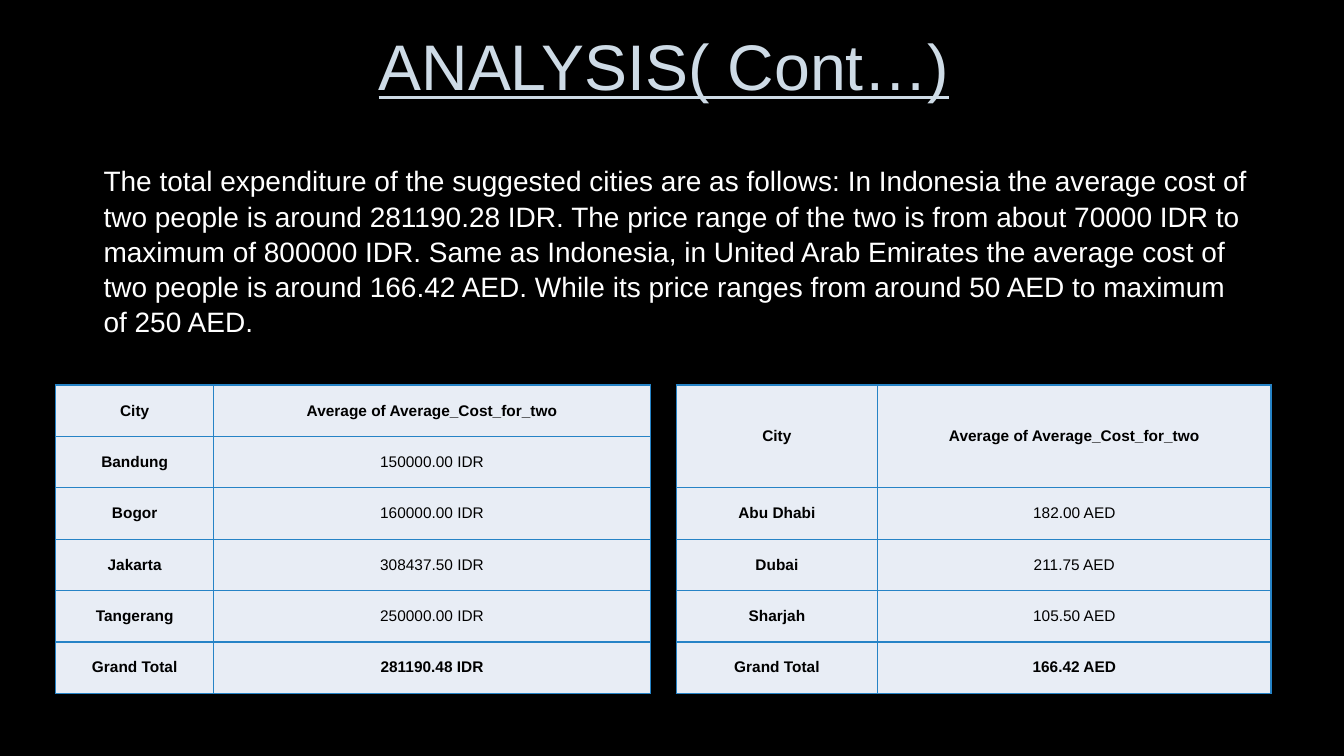
from dataclasses import dataclass

from lxml.etree import SubElement
from pptx import Presentation
from pptx.dml.color import RGBColor
from pptx.enum.text import MSO_ANCHOR as Anchor, MSO_AUTO_SIZE as AutoSize, PP_ALIGN as Align
from pptx.oxml.ns import qn
from pptx.util import Cm, Pt

FONT = "Arial"
COLORS = {
    "background": "000000",
    "title": "CEDBE6",
    "title_outline": "404040",
    "body": "FFFFFF",
    "cell_text": "000000",
    "cell_fill": "E8EDF5",
    "border": "2683C6",
}
TABLE_TOP, TABLE_HEIGHT, GRID_ROWS = 9.7, 7.77, 6
ROW_HEIGHT = TABLE_HEIGHT / GRID_ROWS


@dataclass
class CostTable:
    left: float
    column_widths: tuple[float, float]
    header_units: int
    rows: list[tuple[str, str]]


HEADER = ("City", "Average of Average_Cost_for_two")
COST_TABLES = [
    CostTable(1.4, (3.99, 11), 1, [
        HEADER,
        ("Bandung", "150000.00 IDR"),
        ("Bogor", "160000.00 IDR"),
        ("Jakarta", "308437.50 IDR"),
        ("Tangerang", "250000.00 IDR"),
        ("Grand Total", "281190.48 IDR"),
    ]),
    CostTable(17.04, (5.08, 9.91), 2, [
        HEADER,
        ("Abu Dhabi", "182.00 AED"),
        ("Dubai", "211.75 AED"),
        ("Sharjah", "105.50 AED"),
        ("Grand Total", "166.42 AED"),
    ]),
]
BODY = (
    "The total expenditure of the suggested cities are as follows: In Indonesia the average "
    "cost of two people is around 281190.28 IDR. The price range of the two is from about "
    "70000 IDR to maximum of 800000 IDR. Same as Indonesia, in United Arab Emirates the "
    "average cost of two people is around 166.42 AED. While its price ranges from around "
    "50 AED to maximum of 250 AED."
)


def color(name: str) -> RGBColor:
    return RGBColor.from_string(COLORS[name])


def place(shape, left: float, top: float, width: float, height: float) -> None:
    shape.left, shape.top = Cm(left), Cm(top)
    shape.width, shape.height = Cm(width), Cm(height)


def add_span(para, text: str, size: float, color_name: str, bold: bool = False):
    span = para.add_run()
    span.text = text
    span.font.name, span.font.size, span.font.bold = FONT, Pt(size), bold
    span.font.color.rgb = color(color_name)
    return span


def add_solid_color(parent, name: str):
    fill = SubElement(parent, qn("a:solidFill"))
    return SubElement(fill, qn("a:srgbClr"), val=COLORS[name])


def set_borders(cell, top_width: float) -> None:
    properties = cell._tc.get_or_add_tcPr()
    widths = {"lnL": 1, "lnR": 1, "lnT": top_width, "lnB": 1}
    for side, width in widths.items():
        line = SubElement(properties, qn(f"a:{side}"), w=str(Pt(width)))
        add_solid_color(line, "border")


def add_title(slide) -> None:
    title = slide.shapes.title
    place(title, 2.36, 0, 28.75, 3.51)
    frame = title.text_frame
    frame.vertical_anchor, frame.auto_size = Anchor.MIDDLE, AutoSize.NONE
    para = frame.paragraphs[0]
    para.alignment, para.line_spacing = Align.CENTER, 0.9
    span = add_span(para, "ANALYSIS( Cont…)", 46, "title")
    span.font.underline = True
    # Faint outline around the letters
    properties = span._r.get_or_add_rPr()
    outline = SubElement(properties, qn("a:ln"), w=str(Pt(0.75)))
    tint = add_solid_color(outline, "title_outline")
    SubElement(tint, qn("a:alpha"), val="10000")
    properties.insert(0, outline)


def add_body(slide) -> None:
    box = slide.shapes.add_textbox(Cm(2.36), Cm(3.96), Cm(29.36), Cm(5.31))
    frame = box.text_frame
    frame.word_wrap, frame.auto_size = True, AutoSize.SHAPE_TO_FIT_TEXT
    para = frame.paragraphs[0]
    para.line_spacing = 1.05
    add_span(para, BODY, 20, "body")


def add_cost_table(slide, data: CostTable) -> None:
    frame = slide.shapes.add_table(
        len(data.rows), len(HEADER), Cm(data.left), Cm(TABLE_TOP),
        Cm(sum(data.column_widths)), Cm(TABLE_HEIGHT))
    table = frame.table
    for column, width in zip(table.columns, data.column_widths):
        column.width = Cm(width)
    last = len(data.rows) - 1
    for row_index, texts in enumerate(data.rows):
        units = data.header_units if row_index == 0 else 1
        table.rows[row_index].height = Cm(ROW_HEIGHT * units)
        for column_index, text in enumerate(texts):
            cell = table.cell(row_index, column_index)
            cell.vertical_anchor = Anchor.MIDDLE
            cell.margin_left = cell.margin_right = Cm(0.18)
            cell.margin_top = cell.margin_bottom = 0
            set_borders(cell, 2 if row_index == last else 1)
            cell.fill.solid()
            cell.fill.fore_color.rgb = color("cell_fill")
            para = cell.text_frame.paragraphs[0]
            para.alignment = Align.CENTER
            bold = column_index == 0 or row_index in (0, last)
            add_span(para, text, 11, "cell_text", bold)


def main() -> None:
    deck = Presentation()
    deck.slide_width, deck.slide_height = Cm(33.87), Cm(19.05)
    slide = deck.slides.add_slide(deck.slide_layouts[5])
    slide.background.fill.solid()
    slide.background.fill.fore_color.rgb = color("background")
    # Heading and summary
    add_title(slide)
    add_body(slide)
    # Average cost per city, one table per country
    for data in COST_TABLES:
        add_cost_table(slide, data)
    deck.save("out.pptx")


if __name__ == "__main__":
    main()
